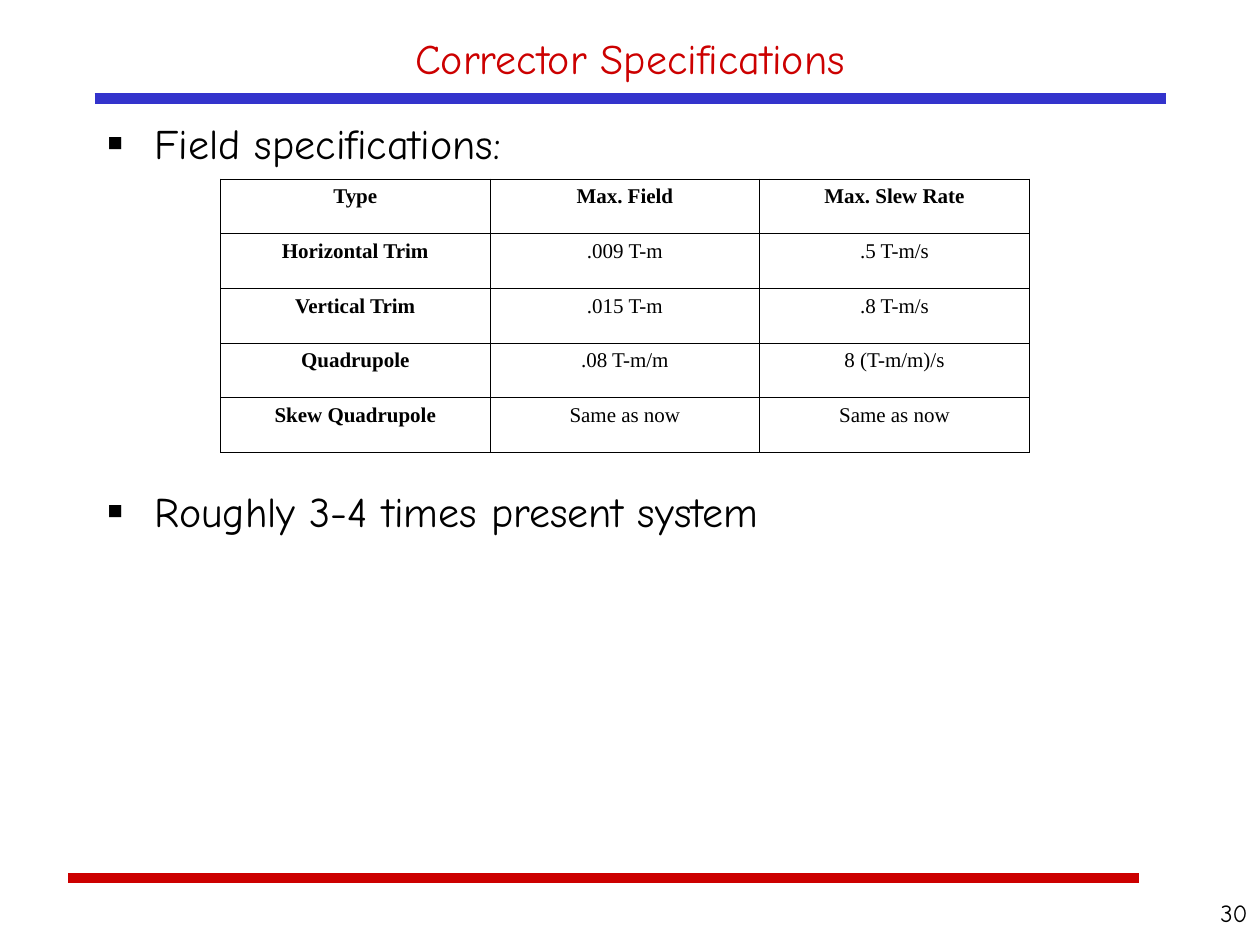
from lxml.etree import SubElement
from pptx import Presentation
from pptx.dml.color import RGBColor
from pptx.enum.shapes import MSO_CONNECTOR
from pptx.enum.text import MSO_ANCHOR, PP_ALIGN
from pptx.oxml.ns import qn
from pptx.util import Inches, Pt

HEADING_FONT = "Comic Neue"
TABLE_FONT = "Times New Roman"
BLACK = "000000"
RED = "CC0000"
BLUE = "3333CC"
THIN, THICK = 0.45, 0.96

SPECIFICATIONS = [
    ("Type", "Max. Field", "Max. Slew Rate"),
    ("Horizontal Trim", ".009 T-m", ".5 T-m/s"),
    ("Vertical Trim", ".015 T-m", ".8 T-m/s"),
    ("Quadrupole", ".08 T-m/m", "8 (T-m/m)/s"),
    ("Skew Quadrupole", "Same as now", "Same as now"),
]
POINTS = [("Field specifications:", 6), ("Roughly 3-4 times present system", 181.5)]


def color(hex_string):
    return RGBColor.from_string(hex_string)


def write_text(paragraph, text, size=24, font=HEADING_FONT, ink=BLACK,
               bold=False, align=PP_ALIGN.LEFT, before=0):
    paragraph.alignment = align
    paragraph.space_before = Pt(before)
    run = paragraph.add_run()
    run.text = text
    run.font.size = Pt(size)
    run.font.name = font
    run.font.bold = bold
    run.font.color.rgb = color(ink)


def add_frame(slide, box, anchor=MSO_ANCHOR.TOP):
    frame = slide.shapes.add_textbox(*map(Inches, box)).text_frame
    frame.word_wrap = True
    frame.vertical_anchor = anchor
    return frame


def add_rule(slide, left, top, width, ink):
    rule = slide.shapes.add_connector(
        MSO_CONNECTOR.STRAIGHT,
        Inches(left), Inches(top), Inches(left + width), Inches(top))
    rule.line.color.rgb = color(ink)
    rule.line.width = Pt(6)
    SubElement(rule._element.spPr, qn("a:effectLst"))


def add_title(slide, box, text):
    frame = add_frame(slide, box, MSO_ANCHOR.MIDDLE)
    write_text(frame.paragraphs[0], text, ink=RED, align=PP_ALIGN.CENTER)


def add_bullet(paragraph):
    properties = paragraph._p.get_or_add_pPr()
    properties.set("marL", str(Inches(0.38)))
    properties.set("indent", str(Inches(-0.38)))
    bullet_color = SubElement(properties, qn("a:buClr"))
    SubElement(bullet_color, qn("a:srgbClr"), val=BLACK)
    SubElement(properties, qn("a:buFont"), typeface=HEADING_FONT)
    SubElement(properties, qn("a:buChar"), char="▪")


def add_points(slide, box, points):
    frame = add_frame(slide, box)
    for index, (text, before) in enumerate(points):
        paragraph = frame.add_paragraph() if index else frame.paragraphs[0]
        write_text(paragraph, text, before=before)
        add_bullet(paragraph)


def set_borders(cell, **widths):
    properties = cell._tc.get_or_add_tcPr()
    for side in "LRTB":
        border = SubElement(properties, qn(f"a:ln{side}"),
                            w=str(Pt(widths.get(side, THIN))))
        fill = SubElement(border, qn("a:solidFill"))
        SubElement(fill, qn("a:srgbClr"), val=BLACK)


def add_specifications(slide, box, rows):
    left, top, width, height = map(Inches, box)
    table = slide.shapes.add_table(
        len(rows), len(rows[0]), left, top, width, height).table
    table.first_row = False
    table.horz_banding = False
    for row, values in enumerate(rows):
        for column, value in enumerate(values):
            cell = table.cell(row, column)
            set_borders(cell, T=THICK if row == 1 else THIN,
                        B=THICK if row == 0 else THIN)
            cell.fill.background()
            write_text(cell.text_frame.paragraphs[0], value, size=12,
                       font=TABLE_FONT, bold=row == 0 or column == 0,
                       align=PP_ALIGN.CENTER)


def add_page_number(slide, box, number):
    frame = add_frame(slide, box)
    write_text(frame.paragraphs[0], number, size=14, align=PP_ALIGN.RIGHT)


def main():
    deck = Presentation()
    deck.slide_width, deck.slide_height = Inches(10), Inches(7.5)
    slide = deck.slides.add_slide(deck.slide_layouts[6])
    add_rule(slide, 0.54, 6.97, 8.5, RED)
    add_rule(slide, 0.75, 0.78, 8.5, BLUE)
    add_title(slide, (0.75, 0.17, 8.5, 0.58), "Corrector Specifications")
    add_points(slide, (0.75, 0.88, 8.5, 5.96), POINTS)
    add_specifications(slide, (1.75, 1.42, 6.42, 2.17), SPECIFICATIONS)
    add_page_number(slide, (9.08, 7.08, 0.92, 0.42), "30")
    deck.save("out.pptx")


if __name__ == "__main__":
    main()
